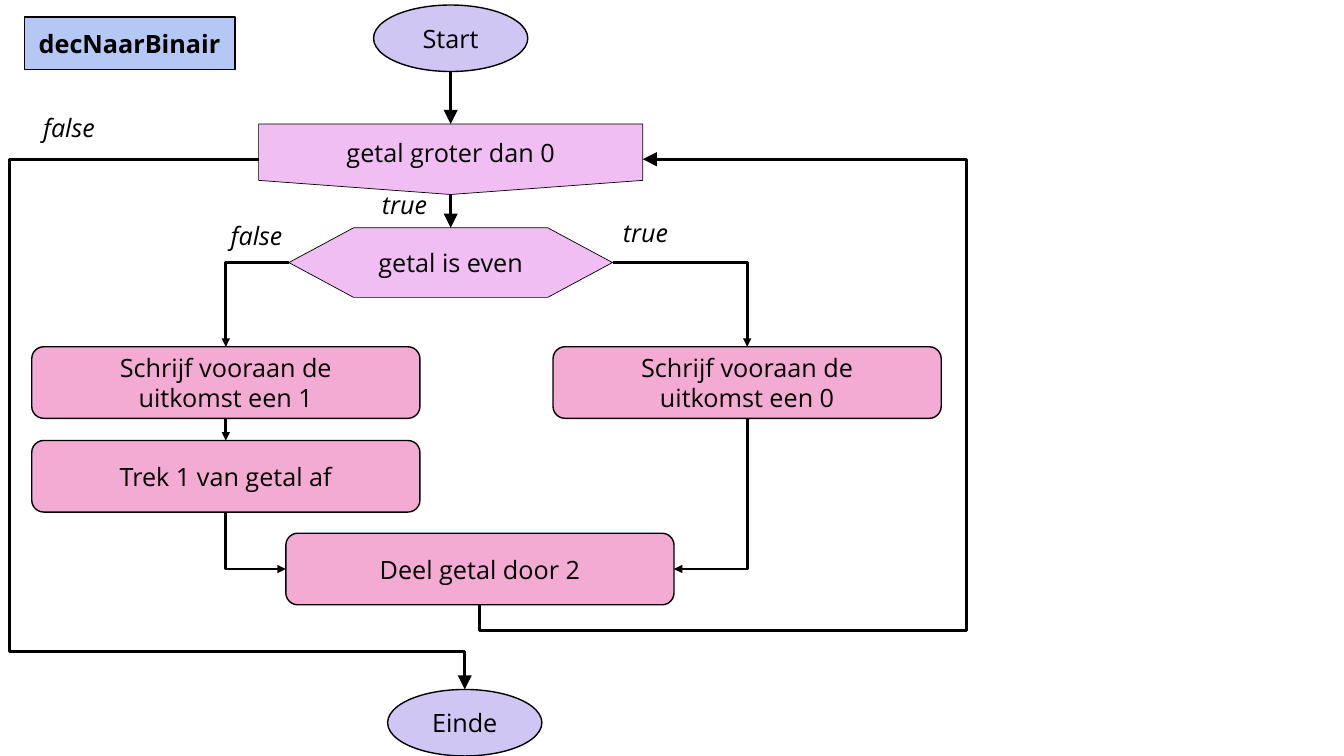
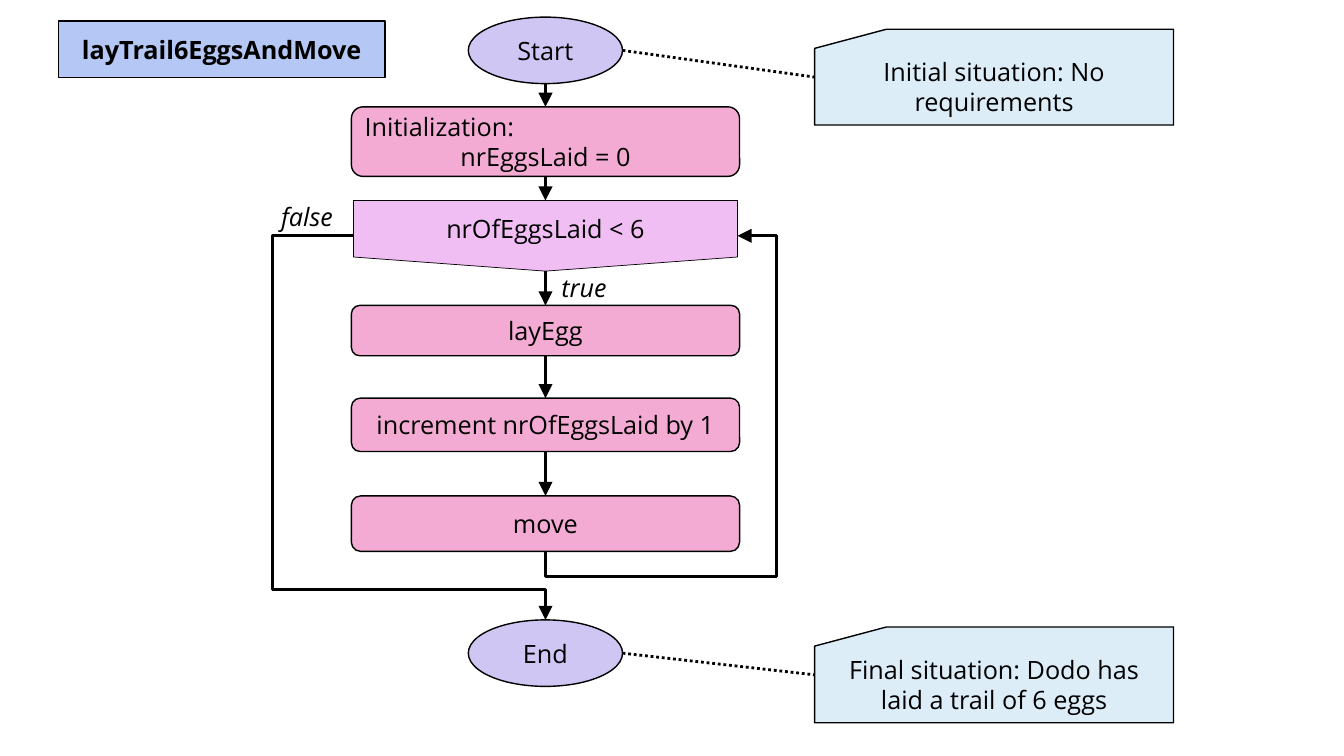
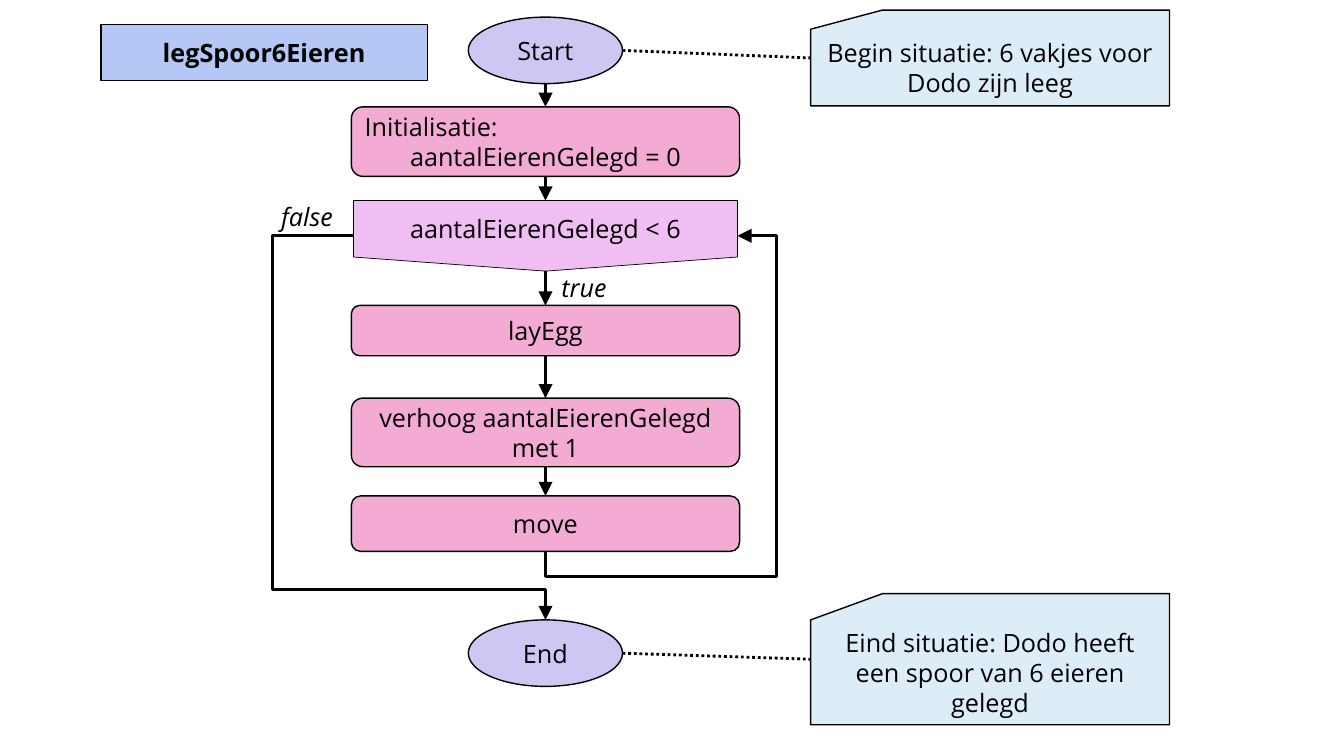
from dataclasses import dataclass

from lxml.etree import SubElement
from pptx import Presentation
from pptx.dml.color import RGBColor
from pptx.enum.dml import MSO_LINE
from pptx.enum.shapes import MSO_CONNECTOR, MSO_SHAPE
from pptx.enum.text import MSO_ANCHOR, MSO_AUTO_SIZE, PP_ALIGN
from pptx.oxml.ns import qn
from pptx.util import Inches, Pt


@dataclass(frozen=True)
class Theme:
    font: str = "Open Sans"
    size: int = 18
    ink: str = "000000"
    title: str = "B5C7F5"
    terminal: str = "D0C6F3"
    test: str = "F1BEF4"
    step: str = "F4ABD3"
    note: str = "DCEDF8"
    thin: float = 0.5
    outline: float = 1
    arrow: float = 2
    margin: float = 0.1
    note_margin: float = 0.13


T = Theme()

# kind: preset, fill, outline width, shape width, default height, side margin
KINDS = {
    "terminal": (MSO_SHAPE.OVAL, T.terminal, T.outline, 1.53, 0.66, T.margin),
    "loop": (MSO_SHAPE.FLOWCHART_OFFPAGE_CONNECTOR, T.test, T.thin, 3.81, 0.7, T.margin),
    "choice": (MSO_SHAPE.FLOWCHART_PREPARATION, T.test, T.thin, 3.21, 0.69, T.margin),
    "step": (MSO_SHAPE.ROUNDED_RECTANGLE, T.step, T.outline, 3.85, 0.71, T.margin),
    "note": (MSO_SHAPE.FLOWCHART_CARD, T.note, T.outline, 3.56, 0.95, T.note_margin),
}
SIDES = ("top", "left", "bottom", "right")

# title: text, left, top, width, height
# nodes: name -> kind, lines, centre x, top[, height]
# links: from, side, to, side[, format]; lanes are the coordinates of the
#        long runs, in order of travel
# labels: text, left, top
BINARY = {
    "title": ("decNaarBinair", 0.24, 0.17, 2.09, 0.52),
    "nodes": {
        "start": ("terminal", ["Start"], 4.47, 0.05),
        "positive": ("loop", ["getal groter dan 0"], 4.47, 1.23),
        "even": ("choice", ["getal is even"], 4.47, 2.26),
        "write one": ("step", ["Schrijf vooraan de", "uitkomst een 1"], 2.24, 3.44),
        "write zero": ("step", ["Schrijf vooraan de", "uitkomst een 0"], 7.41, 3.44),
        "subtract": ("step", ["Trek 1 van getal af"], 2.24, 4.37),
        "halve": ("step", ["Deel getal door 2"], 4.76, 5.29),
        "end": ("terminal", ["Einde"], 4.61, 6.84),
    },
    "links": [
        ("start", "bottom", "positive", "top"),
        ("positive", "bottom", "even", "top"),
        ("positive", "left", "end", "top", {"lanes": (0.09, 6.46)}),
        ("halve", "bottom", "positive", "right", {"lanes": (6.25, 9.59)}),
        ("even", "left", "write one", "top", {"head": "med"}),
        ("even", "right", "write zero", "top", {"head": "med"}),
        ("write one", "bottom", "subtract", "top", {"head": "med"}),
        ("subtract", "bottom", "halve", "left", {"head": "med"}),
        ("write zero", "bottom", "halve", "right", {"head": "med"}),
    ],
    "labels": [("false", 0.33, 1.07), ("true", 3.69, 1.83),
               ("false", 2.19, 2.14), ("true", 6.08, 2.11)],
}


def egg_trail(title, init, test, increment, increment_h, before, after):
    """Describe the chart that lays six eggs; before and after are notes."""
    x = 5.41
    chain = ["start", "init", "test", "lay", "increment", "move"]
    dotted = {"head": None, "dash": MSO_LINE.ROUND_DOT}
    return {
        "title": title,
        "nodes": {
            "start": ("terminal", ["Start"], x, 0.17),
            "init": ("step", init, x, 1.06, 0.69),
            "test": ("loop", [test], x, 1.99),
            "lay": ("step", ["layEgg"], x, 3.03, 0.5),
            "increment": ("step", [increment], x, 3.95, increment_h),
            "move": ("step", ["move"], x, 4.92, 0.55),
            "end": ("terminal", ["End"], x, 6.15),
            "before": ("note", *before),
            "after": ("note", *after),
        },
        "links": [(a, "bottom", b, "top") for a, b in zip(chain, chain[1:])] + [
            ("test", "left", "end", "top", {"lanes": (2.7, 5.85)}),
            ("move", "bottom", "test", "right", {"lanes": (5.72, 7.7)}),
            ("start", "right", "before", "left", dotted),
            ("end", "right", "after", "left", dotted),
        ],
        "labels": [("false", 2.69, 1.95), ("true", 5.47, 2.65)],
    }


CHARTS = [
    BINARY,
    egg_trail(
        ("layTrail6EggsAndMove", 0.58, 0.21, 3.24, 0.56),
        ["Initialization:", "nrEggsLaid = 0"], "nrOfEggsLaid < 6",
        "increment nrOfEggsLaid by 1", 0.53,
        (["Initial situation: No requirements"], 9.86, 0.29),
        (["Final situation: Dodo has laid a trail of 6 eggs"], 9.86, 6.22)),
    egg_trail(
        ("legSpoor6Eieren", 1, 0.24, 3.24, 0.56),
        ["Initialisatie:", "aantalEierenGelegd = 0"], "aantalEierenGelegd < 6",
        "verhoog aantalEierenGelegd met 1", 0.68,
        (["Begin situatie: 6 vakjes voor Dodo zijn leeg"], 9.82, 0.1),
        (["Eind situatie: Dodo heeft een spoor van 6 eieren gelegd"], 9.82, 5.89, 1.3)),
]


def write(sp, lines, align=PP_ALIGN.CENTER, anchor=MSO_ANCHOR.MIDDLE,
          margin=T.margin, **font):
    tf = sp.text_frame
    tf.auto_size = MSO_AUTO_SIZE.NONE
    tf.word_wrap = True
    tf.vertical_anchor = anchor
    tf.margin_left = tf.margin_right = Inches(margin)
    style = {"name": T.font, "size": Pt(T.size), **font}
    for i, line in enumerate(lines):
        p = tf.add_paragraph() if i else tf.paragraphs[0]
        p.alignment = PP_ALIGN.LEFT if line.endswith(":") else align
        r = p.add_run()
        r.text = line
        r.font.color.rgb = RGBColor.from_string(T.ink)
        for key, value in style.items():
            setattr(r.font, key, value)


def paint(sp, fill, width):
    sp.fill.solid()
    sp.fill.fore_color.rgb = RGBColor.from_string(fill)
    sp.line.color.rgb = RGBColor.from_string(T.ink)
    sp.line.width = Pt(width)


def add_title(s, text, *box):
    sp = s.shapes.title
    sp.left, sp.top, sp.width, sp.height = map(Inches, box)
    paint(sp, T.title, T.outline)
    write(sp, [text], bold=True)


def add_node(s, kind, lines, centre, top, height=None):
    preset, fill, line, width, default, margin = KINDS[kind]
    sp = s.shapes.add_shape(preset, Inches(centre - width / 2), Inches(top),
                            Inches(width), Inches(height or default))
    sp.shadow.inherit = False
    paint(sp, fill, line)
    write(sp, lines, margin=margin)
    return sp


def add_label(s, text, left, top):
    sp = s.shapes.add_textbox(Inches(left), Inches(top), Inches(0.8), Inches(0.4))
    write(sp, [text], PP_ALIGN.LEFT, MSO_ANCHOR.TOP, italic=True)


def anchor_point(sp, side):
    x, y = sp.left + sp.width // 2, sp.top + sp.height // 2
    return {"top": (x, sp.top), "bottom": (x, sp.top + sp.height),
            "left": (sp.left, y), "right": (sp.left + sp.width, y)}[side]


def is_vertical(side):
    return side in ("top", "bottom")


def add_elbow(s, start, end, vertical, lanes):
    """Bend from start to end; a vertical start is a quarter turn of a level one."""
    (x1, y1), (x2, y2) = start, end
    dx, dy = x2 - x1, y2 - y1
    w, h = (abs(dy), abs(dx)) if vertical else (abs(dx), abs(dy))
    left, top = (x1 + x2 - w) // 2, (y1 + y2 - h) // 2
    c = s.shapes.add_connector(MSO_CONNECTOR.ELBOW, left, top, left + w, top + h)
    spPr = c._element.spPr
    xfrm, geom = spPr.find(qn("a:xfrm")), spPr.find(qn("a:prstGeom"))
    if vertical:
        xfrm.set("rot", "5400000")
    flips = (dy < 0, dx > 0) if vertical else (dx < 0, dy < 0)
    for name, flip in zip(("flipH", "flipV"), flips):
        if flip:
            xfrm.set(name, "1")
    geom.set("prst", "bentConnector4" if lanes else "bentConnector2")
    axes = [(x1, dx), (y1, dy)]
    if vertical:
        axes.reverse()
    for i, (lane, (origin, length)) in enumerate(zip(lanes, axes), 1):
        share = round((Inches(lane) - origin) / length * 100000)
        SubElement(geom.find(qn("a:avLst")), qn("a:gd"), name=f"adj{i}", fmla=f"val {share}")
    return c


def add_link(s, a, a_side, b, b_side, lanes=(), head="lg", dash=None):
    start, end = anchor_point(a, a_side), anchor_point(b, b_side)
    vertical = is_vertical(a_side)
    if vertical == is_vertical(b_side):
        c = s.shapes.add_connector(MSO_CONNECTOR.STRAIGHT, *start, *end)
    else:
        c = add_elbow(s, start, end, vertical, lanes)
    c.line.color.rgb = RGBColor.from_string(T.ink)
    c.line.width = Pt(T.arrow)
    if dash:
        c.line.dash_style = dash
    spPr = c._element.spPr
    if head:
        SubElement(spPr.find(qn("a:ln")), qn("a:tailEnd"), type="triangle", w=head, len=head)
    SubElement(spPr, qn("a:effectLst"))
    glue = c._element.find(".//" + qn("p:cNvCxnSpPr"))
    for tag, sp, side in (("a:stCxn", a, a_side), ("a:endCxn", b, b_side)):
        step = 2 if sp.auto_shape_type == MSO_SHAPE.OVAL else 1  # ovals have eight sites
        SubElement(glue, qn(tag), id=str(sp.shape_id), idx=str(SIDES.index(side) * step))


def main():
    prs = Presentation()
    prs.slide_width, prs.slide_height = Inches(13.33), Inches(7.5)
    for chart in CHARTS:
        s = prs.slides.add_slide(prs.slide_layouts[5])
        add_title(s, *chart["title"])
        nodes = {name: add_node(s, *node) for name, node in chart["nodes"].items()}
        for a, a_side, b, b_side, *style in chart["links"]:
            add_link(s, nodes[a], a_side, nodes[b], b_side, **(style[0] if style else {}))
        for label in chart["labels"]:
            add_label(s, *label)
    prs.save("out.pptx")


if __name__ == "__main__":
    main()
